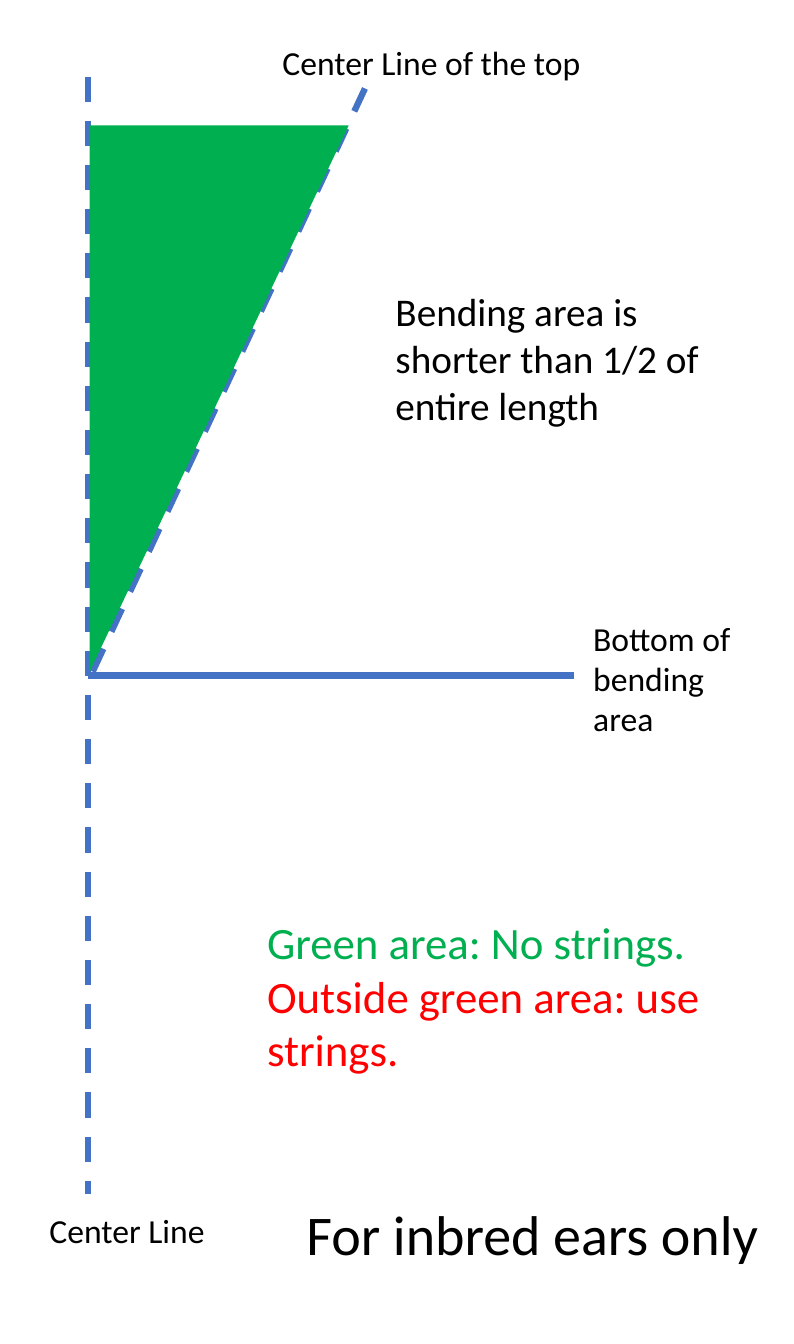
import pptx
import pptx.dml.color
import pptx.enum.dml
import pptx.enum.shapes
import pptx.enum.text
import pptx.oxml.ns
import pptx.util
import lxml.etree

COLORS = {"line": "4472C4", "green": "00B050", "red": "FF0000", "black": "000000"}


class Diagram:
    """Draws the elements of the bending-area slide in one style."""

    def __init__(self, slide, font_name):
        self.slide = slide
        self.font_name = font_name

    def color(self, name):
        return pptx.dml.color.RGBColor.from_string(COLORS[name])

    def line(self, start, end, dashed=False):
        points = [pptx.util.Pt(value) for value in (*start, *end)]
        connector = self.slide.shapes.add_connector(
            pptx.enum.shapes.MSO_CONNECTOR.STRAIGHT, *points)
        connector.line.color.rgb = self.color("line")
        connector.line.width = pptx.util.Pt(4.5)
        if dashed:
            connector.line.dash_style = pptx.enum.dml.MSO_LINE.DASH
        properties = connector._element.spPr
        lxml.etree.SubElement(properties, pptx.oxml.ns.qn("a:effectLst"))

    def text(self, box, size, *paragraphs):
        frame = self.slide.shapes.add_textbox(
            *[pptx.util.Pt(value) for value in box]).text_frame
        frame.word_wrap = True
        frame.auto_size = pptx.enum.text.MSO_AUTO_SIZE.SHAPE_TO_FIT_TEXT
        for index, (content, color) in enumerate(paragraphs):
            paragraph = frame.add_paragraph() if index else frame.paragraphs[0]
            paragraph.text = content
            paragraph.font.name = self.font_name
            paragraph.font.size = pptx.util.Pt(size)
            paragraph.font.color.rgb = self.color(color)

    def triangle(self, box, rotation, color):
        shape = self.slide.shapes.add_shape(
            pptx.enum.shapes.MSO_SHAPE.RIGHT_TRIANGLE,
            *[pptx.util.Pt(value) for value in box])
        shape.rotation = rotation
        shape.shadow.inherit = False
        shape.fill.solid()
        shape.fill.fore_color.rgb = self.color(color)
        shape.line.fill.background()


def main():
    presentation = pptx.Presentation()
    presentation.slide_width = pptx.util.Pt(566.93)
    presentation.slide_height = pptx.util.Pt(960)
    slide = presentation.slides.add_slide(presentation.slide_layouts[6])
    diagram = Diagram(slide, "Calibri")
    center = 62.6

    diagram.line((center, 482.6), (409.7, 482.6))
    diagram.text((28.2, 860.4, 282.2, 36), 24, ("Center Line", "black"))
    diagram.text((194.6, 26.6, 282.2, 36), 24, ("Center Line of the top", "black"))
    diagram.text((416.5, 437.6, 138.2, 94.3), 24, ("Bottom of bending area", "black"))
    diagram.line((center, 54.7), (center, 853.2), dashed=True)
    diagram.line((260.6, 63.2), (center, 487.4), dashed=True)
    diagram.text((211.7, 853.2, 355, 55.4), 40, ("For inbred ears only", "black"))
    diagram.text((275.3, 201.6, 241.2, 108.7), 28,
                 ("Bending area is shorter than 1/2 of entire length", "black"))
    diagram.triangle((-38.6, 192.2, 390.2, 185), 90, "green")
    diagram.text((183.6, 649.7, 364.3, 123.8), 32,
                 ("Green area: No strings.", "green"),
                 ("Outside green area: use strings.", "red"))
    presentation.save("out.pptx")


if __name__ == "__main__":
    main()
